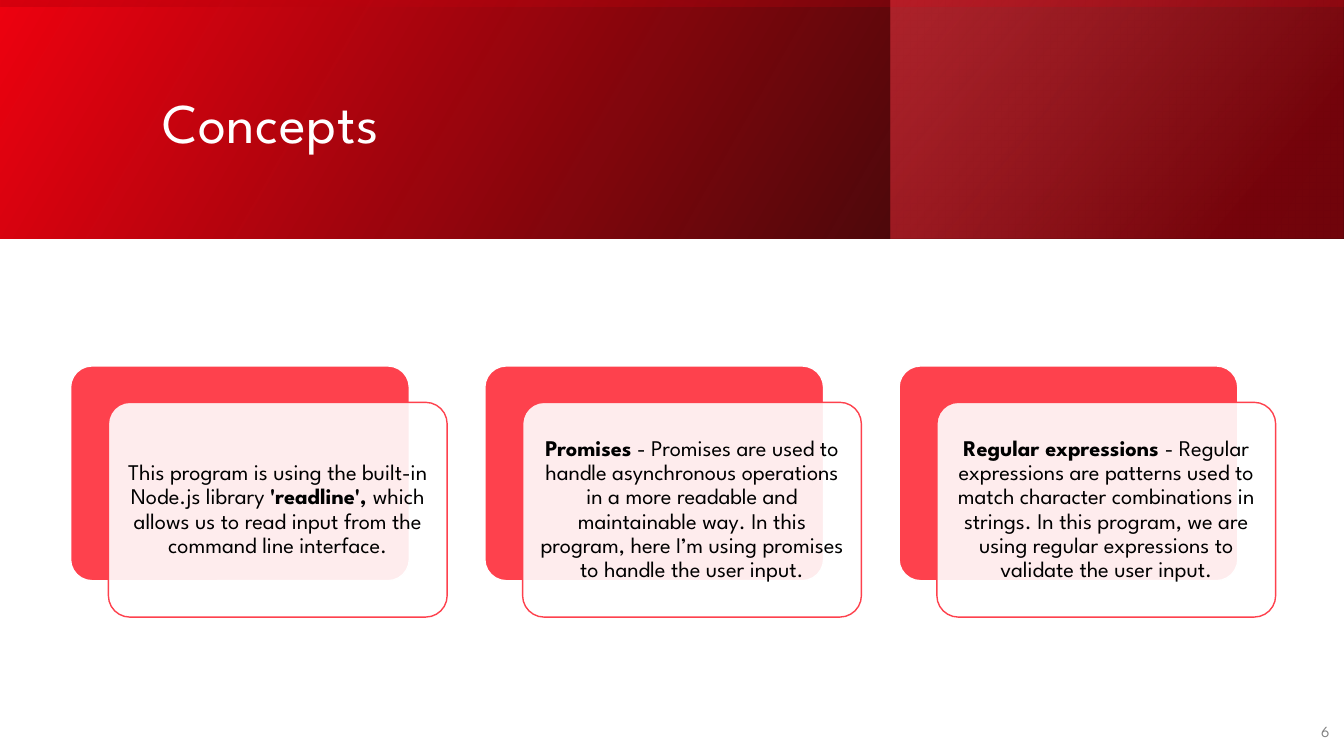
from dataclasses import dataclass

from lxml import etree
from pptx import Presentation
from pptx.dml.color import RGBColor
from pptx.enum.shapes import MSO_SHAPE as SHAPE
from pptx.enum.text import MSO_ANCHOR as ANCHOR, MSO_AUTO_SIZE as AUTO, PP_ALIGN as ALIGN
from pptx.oxml.ns import qn
from pptx.util import Pt

FONT = "League Spartan"
RED, WHITE, BLACK, GRAY = "FE414D", "FFFFFF", "000000", "808080"
CARD_W, CARD_H, CARD_PITCH = 242, 153.4, 295.9
CARD_LEFT, CARD_TOP = 50.4, 261.4
SHIFT_X, SHIFT_Y, TEXT_INSET = 27, 26, 4.4


@dataclass
class Stop:
    pos: int
    color: str
    alpha: int


@dataclass
class Band:
    left: float
    top: float
    width: float
    height: float
    angle: int
    stops: list[Stop]
    rotation: int = 0


@dataclass
class Span:
    text: str
    bold: bool = False


BANDS = [
    Band(0, 0, 960, 170.6, 330, [Stop(0, "000000", 96), Stop(100, "EE0110", 100)]),
    Band(636.5, 0, 323, 170.6, 320, [Stop(19, "9F010B", 68), Stop(100, "FE414D", 48)]),
    Band(394.7, -394.7, 170.6, 960, 350,
         [Stop(23, "EE0110", 16), Stop(99, "000000", 45)], 270),
]

CARDS = [
    [Span("This program is using the built-in Node.js library "),
     Span("'readline', ", True),
     Span("which allows us to read input from the command line interface.")],
    [Span("Promises", True),
     Span(" - Promises are used to handle asynchronous operations in a more readable "
          "and maintainable way. In this program, here I’m using promises to handle "
          "the user input.")],
    [Span("Regular expressions ", True),
     Span("- Regular expressions are patterns used to match character combinations in "
          "strings. In this program, we are using regular expressions to validate "
          "the user input.")],
]


def rgb(color: str) -> RGBColor:
    return RGBColor.from_string(color)


def set_alpha(color_el, percent: int) -> None:
    etree.SubElement(color_el, qn("a:alpha"), val=str(percent * 1000))


def add_band(s, band: Band):
    """Draw a mirrored rectangle with a translucent linear gradient."""
    sp = s.shapes.add_shape(SHAPE.RECTANGLE, Pt(band.left), Pt(band.top),
                            Pt(band.width), Pt(band.height))
    sp.shadow.inherit = False
    sp.line.fill.background()
    sp.rotation = band.rotation
    pr = sp.element.spPr
    pr.find(qn("a:xfrm")).set("flipH", "1")
    grad = etree.Element(qn("a:gradFill"), rotWithShape="1")
    stops = etree.SubElement(grad, qn("a:gsLst"))
    for stop in band.stops:
        gs = etree.SubElement(stops, qn("a:gs"), pos=str(stop.pos * 1000))
        set_alpha(etree.SubElement(gs, qn("a:srgbClr"), val=stop.color), stop.alpha)
    etree.SubElement(grad, qn("a:lin"), ang=str(band.angle * 60000), scaled="0")
    pr.find(qn("a:prstGeom")).addnext(grad)
    return sp


def add_panel(s, left: float, top: float, fill: str, line: str, alpha: int = 100) -> None:
    sp = s.shapes.add_shape(SHAPE.ROUNDED_RECTANGLE, Pt(left), Pt(top),
                            Pt(CARD_W), Pt(CARD_H))
    sp.adjustments[0] = 0.1
    sp.shadow.inherit = False
    sp.fill.solid()
    sp.fill.fore_color.rgb = rgb(fill)
    if alpha < 100:
        set_alpha(sp.element.spPr.find(f"{qn('a:solidFill')}/{qn('a:srgbClr')}"), alpha)
    sp.line.color.rgb = rgb(line)
    sp.line.width = Pt(1)


def write(sp, spans: list[Span], size: float, color: str, frame: dict, para: dict) -> None:
    """Fill the shape with one formatted paragraph."""
    tf = sp.text_frame
    p = tf.paragraphs[0]
    frame = {"word_wrap": True, "auto_size": AUTO.NONE,
             "vertical_anchor": ANCHOR.MIDDLE} | frame
    for target, values in ((tf, frame), (p, para)):
        for name, value in values.items():
            setattr(target, name, value)
    for span in spans:
        r = p.add_run()
        r.text = span.text
        for name, value in {"name": FONT, "size": Pt(size), "bold": span.bold}.items():
            setattr(r.font, name, value)
        r.font.color.rgb = rgb(color)


def add_text(s, left: float, top: float, width: float, height: float):
    return s.shapes.add_textbox(Pt(left), Pt(top), Pt(width), Pt(height))


def add_card(s, left: float, spans: list[Span]) -> None:
    add_panel(s, left, CARD_TOP, RED, WHITE)
    front_x, front_y = left + SHIFT_X, CARD_TOP + SHIFT_Y
    add_panel(s, front_x, front_y, WHITE, RED, 90)
    box = add_text(s, front_x + TEXT_INSET, front_y + TEXT_INSET,
                   CARD_W - 2 * TEXT_INSET, CARD_H - 2 * TEXT_INSET)
    margins = {f"margin_{side}": Pt(4.8) for side in ("left", "top", "right", "bottom")}
    write(box, spans, 16, BLACK, margins,
          {"alignment": ALIGN.CENTER, "line_spacing": 0.9, "space_after": Pt(5.6)})


def add_title(s, text: str, behind) -> None:
    title = s.shapes.title
    for name, value in {"left": 108.7, "top": 27.4, "width": 765.4, "height": 123.8}.items():
        setattr(title, name, Pt(value))
    write(title, [Span(text)], 40, WHITE, {},
          {"alignment": ALIGN.LEFT, "line_spacing": 0.9})
    title.text_frame.paragraphs[0].runs[0].font._element.set("spc", "50")
    behind.element.addnext(title.element)


def main() -> None:
    prs = Presentation()
    prs.slide_width, prs.slide_height = Pt(960), Pt(540)
    s = prs.slides.add_slide(prs.slide_layouts[5])
    bands = [add_band(s, band) for band in BANDS]
    add_title(s, "Concepts", bands[-1])
    write(add_text(s, 921.6, 508.3, 35.3, 28.8), [Span("6")], 11, GRAY, {},
          {"alignment": ALIGN.RIGHT, "space_after": Pt(6)})
    for i, spans in enumerate(CARDS):
        add_card(s, CARD_LEFT + i * CARD_PITCH, spans)
    prs.save("out.pptx")


if __name__ == "__main__":
    main()
